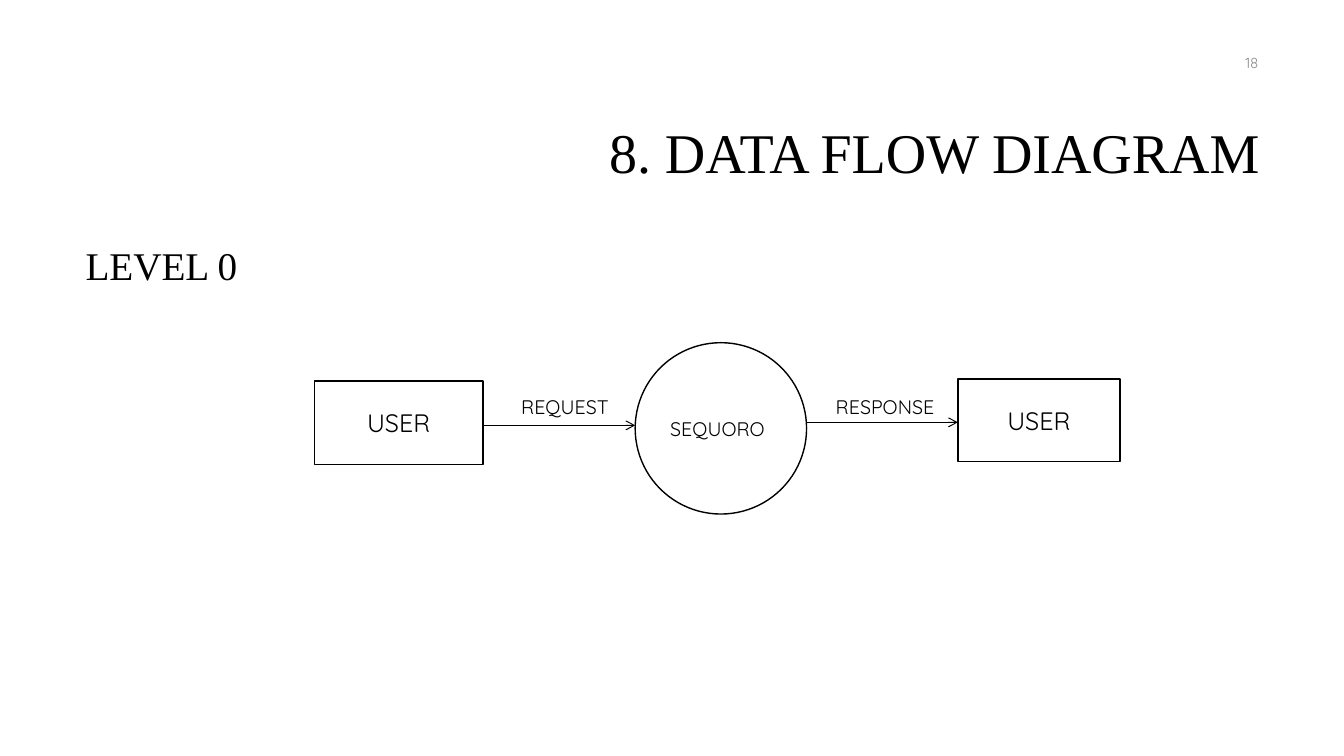
from dataclasses import dataclass

from lxml import etree
from pptx import Presentation
from pptx import util as u
from pptx.dml.color import RGBColor
from pptx.enum import shapes, text
from pptx.oxml import ns

BLACK = RGBColor(0x00, 0x00, 0x00)
WHITE = RGBColor(0xFF, 0xFF, 0xFF)
GRAY = RGBColor(0x8C, 0x8C, 0x8C)
SANS = "Quicksand"
SERIF = "Times New Roman"
LEFT = text.PP_ALIGN.LEFT
MID = text.PP_ALIGN.CENTER
RIGHT = text.PP_ALIGN.RIGHT
TOP = text.MSO_ANCHOR.TOP
CENTER = text.MSO_ANCHOR.MIDDLE
RECT = shapes.MSO_SHAPE.RECTANGLE
OVAL = shapes.MSO_SHAPE.OVAL


@dataclass
class Label:
    words: str
    size: float
    font: str = SANS
    color: RGBColor = BLACK
    align: text.PP_ALIGN = LEFT
    anchor: text.MSO_ANCHOR = TOP
    pitch: float = 1.0


@dataclass
class Box:
    left: float
    top: float
    width: float
    height: float
    label: Label

    def place(self) -> list[int]:
        return [u.Inches(n) for n in (self.left, self.top, self.width, self.height)]


@dataclass
class Node(Box):
    form: shapes.MSO_SHAPE = RECT


@dataclass
class Flow:
    start: float
    end: float
    level: float


TEXTS = [
    Box(3.17, 0.84, 9.42, 1.41,
        Label("8. DATA FLOW DIAGRAM", 40, SERIF, align=RIGHT, anchor=CENTER, pitch=0.9)),
    Box(0.75, 2.4, 11.83, 4.4, Label("LEVEL 0", 28, SERIF, pitch=0.9)),
    Box(9.58, 0.42, 3, 0.4, Label("18", 10.5, color=GRAY, align=RIGHT, anchor=CENTER)),
    Box(5.07, 3.87, 1.62, 0.34, Label("REQUEST", 14)),
    Box(8.19, 3.87, 1.62, 0.34, Label("RESPONSE", 14)),
]
USER = Label("USER", 18, align=MID, anchor=CENTER)
NODES = [
    Node(6.3, 3.4, 1.7, 1.7, Label("SEQUORO", 14, anchor=CENTER), OVAL),
    Node(3.12, 3.78, 1.67, 0.83, USER),
    Node(9.5, 3.76, 1.61, 0.82, USER),
]
FLOWS = [Flow(4.8, 6.3, 4.22), Flow(8, 9.5, 4.19)]


def write(frame, label: Label) -> None:
    frame.word_wrap = True
    frame.vertical_anchor = label.anchor
    para = frame.paragraphs[0]
    para.alignment = label.align
    para.line_spacing = label.pitch
    run = para.add_run()
    run.text = label.words
    run.font.size = u.Pt(label.size)
    run.font.name = label.font
    run.font.color.rgb = label.color


def add_text(slide, box: Box) -> None:
    write(slide.shapes.add_textbox(*box.place()).text_frame, box.label)


def add_node(slide, node: Node) -> None:
    shape = slide.shapes.add_shape(node.form, *node.place())
    shape.shadow.inherit = False
    shape.fill.solid()
    shape.fill.fore_color.rgb = WHITE
    shape.line.color.rgb = BLACK
    shape.line.width = u.Pt(1)
    write(shape.text_frame, node.label)


def add_flow(slide, flow: Flow) -> None:
    """Draw a level line with an open arrowhead at its end."""
    y = u.Inches(flow.level)
    line = slide.shapes.add_connector(
        shapes.MSO_CONNECTOR.STRAIGHT, u.Inches(flow.start), y, u.Inches(flow.end), y)
    line.line.color.rgb = BLACK
    line.line.width = u.Pt(0.75)
    etree.SubElement(line.line._get_or_add_ln(), ns.qn("a:tailEnd"), type="arrow")
    etree.SubElement(line._element.spPr, ns.qn("a:effectLst"))


def main() -> None:
    deck = Presentation()
    deck.slide_width = u.Inches(13.33)
    deck.slide_height = u.Inches(7.5)
    slide = deck.slides.add_slide(deck.slide_layouts[6])
    for node in NODES:
        add_node(slide, node)
    for flow in FLOWS:
        add_flow(slide, flow)
    for box in TEXTS:
        add_text(slide, box)
    deck.save("out.pptx")


if __name__ == "__main__":
    main()
